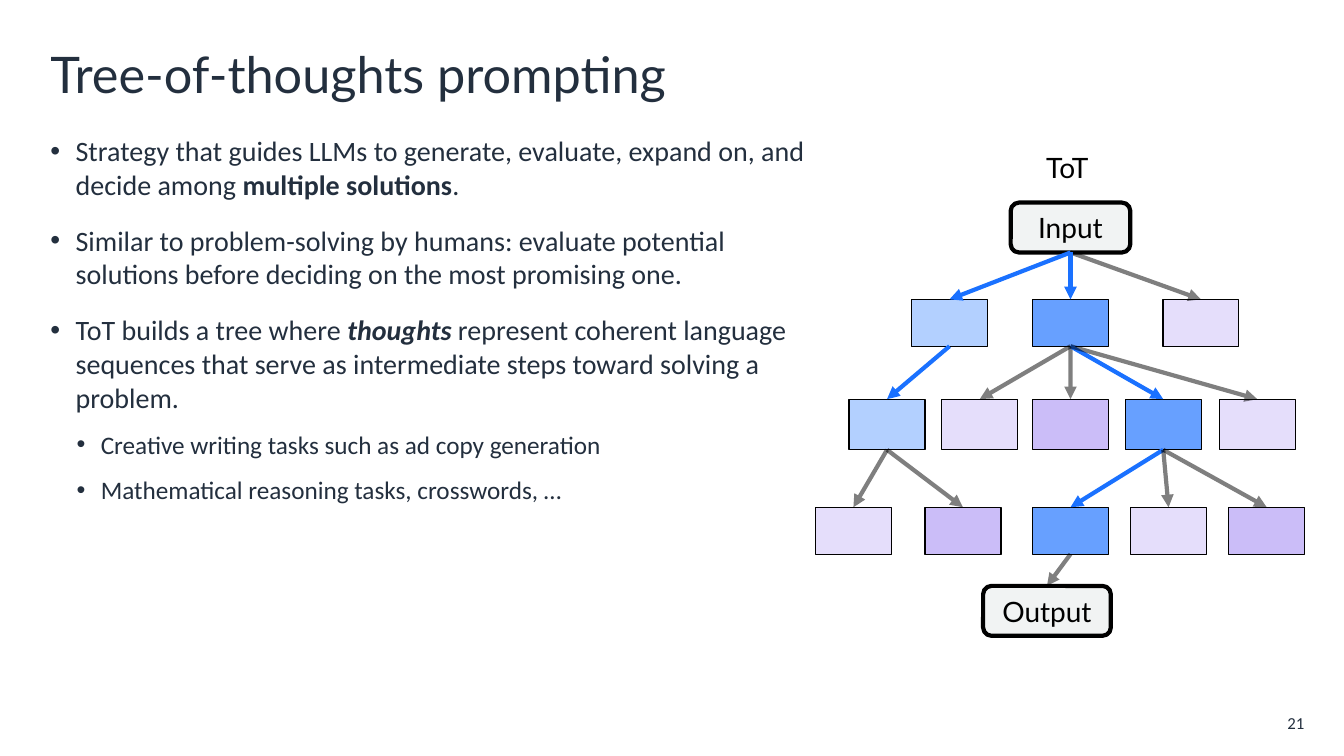
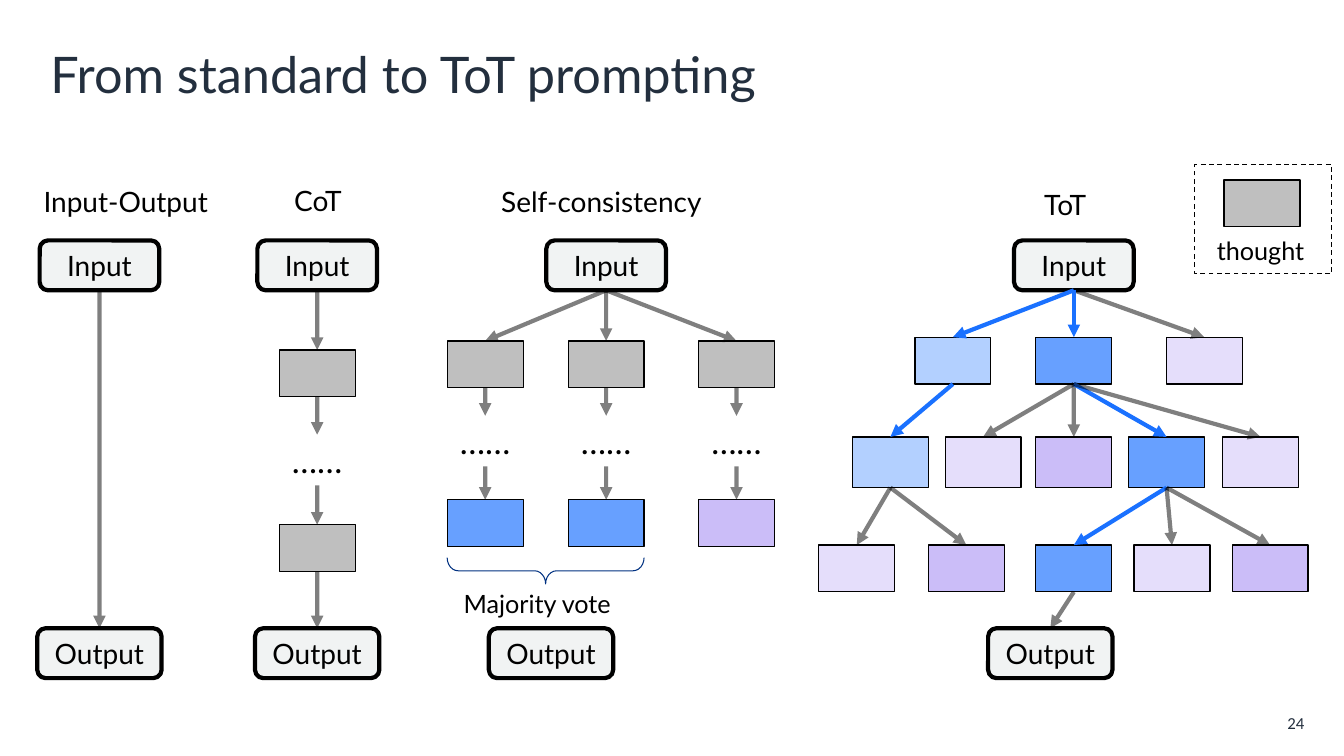
from lxml import etree
from pptx import Presentation
from pptx import util as u
from pptx.dml.color import RGBColor
from pptx.enum import dml, shapes, text
from pptx.oxml.ns import qn

# Shared style; one column or row is one percent of the slide
W, H = 13.33, 7.5
COLORS = {
    "ink": "232F3E", "black": "000000", "box": "F1F3F3", "path": "1A71FF",
    "blue": "67A0FF", "sky": "B3D0FF", "lilac": "CBBDF8", "mist": "E5DEFB",
    "gray": "BFBFBF", "brace": "003181",
}
HEAD, BODY = "Lato", "Calibri"
NODE_W, NODE_H, TALL_H = 5.65, 6.2, 6.7
INPUT_W, BOX_H = 8.9, 6.6
BRANCHES = (-9, 0, 9.7)

# Tree levels: row below the input, node height, (column offset, colour)
TREE_LEVELS = [
    (12.8, NODE_H, list(zip(BRANCHES, ("sky", "blue", "mist")))),
    (26, TALL_H, [(-13.65, "sky"), (-6.75, "mist"), (0, "lilac"),
                  (6.9, "blue"), (13.9, "mist")]),
    (40.3, NODE_H, [(-16.15, "mist"), (-8, "lilac"), (0, "blue"),
                    (7.3, "mist"), (14.6, "lilac")]),
]
# Tree edges: level of the parent, parent, child, on the chosen path
TREE_EDGES = [
    (0, 0, 2, False), (0, 0, 0, True), (0, 0, 1, True),
    (1, 1, 2, False), (1, 1, 3, True), (1, 0, 0, True),
    (1, 1, 1, False), (1, 1, 4, False),
    (2, 3, 2, True), (2, 0, 1, False), (2, 0, 0, False),
    (2, 3, 3, False), (2, 3, 4, False),
]


def rgb(name):
    return RGBColor.from_string(COLORS[name])


def place(x, y, w, h):
    return [u.Inches(v) for v in (x * W / 100, y * H / 100, w * W / 100, h * H / 100)]


def style_run(r, size, font=HEAD, color="black", bold=False, italic=False):
    f = r.font
    f.size, f.name, f.bold, f.italic = u.Pt(size), font, bold, italic
    f.color.rgb = rgb(color)


def write(sp, words, size, align=text.PP_ALIGN.LEFT, **style):
    tf = sp.text_frame
    tf.text = words
    p = tf.paragraphs[0]
    p.alignment = align
    style_run(p.runs[0], size, **style)
    return tf


# Elements
def add_label(s, words, x, y, w=18.15, h=5.8, size=20, **style):
    sp = s.shapes.add_textbox(*place(x, y, w, h))
    tf = write(sp, words, size, **style)
    tf.word_wrap = True
    return sp


def add_box(s, kind, area, fill=None, line="black", weight=0.85):
    sp = s.shapes.add_shape(kind, *place(*area))
    sp.shadow.inherit = False
    if fill:
        sp.fill.solid()
        sp.fill.fore_color.rgb = rgb(fill)
    else:
        sp.fill.background()
    sp.line.color.rgb = rgb(line)
    sp.line.width = u.Pt(weight)
    return sp


def add_node(s, cx, y, fill="gray", h=NODE_H):
    area = (cx - NODE_W / 2, y, NODE_W, h)
    return add_box(s, shapes.MSO_SHAPE.RECTANGLE, area, fill)


def add_terminal(s, words, cx, y, w):
    area = (cx - w / 2, y, w, BOX_H)
    sp = add_box(s, shapes.MSO_SHAPE.ROUNDED_RECTANGLE, area, "box", weight=3)
    tf = write(sp, words, 20, text.PP_ALIGN.CENTER)
    tf.vertical_anchor = text.MSO_ANCHOR.MIDDLE
    tf.word_wrap = False
    return sp


def add_dots(s, cx, y, w=8.2):
    sp = add_label(s, "……", cx - w / 2, y, w, TALL_H, 24, align=text.PP_ALIGN.CENTER)
    sp.text_frame.vertical_anchor = text.MSO_ANCHOR.MIDDLE
    return sp


def add_arrow(s, parent, child, chosen=False):
    cx = s.shapes.add_connector(shapes.MSO_CONNECTOR.STRAIGHT, 0, 0, 0, 0)
    cx.begin_connect(parent, 2)
    cx.end_connect(child, 0)
    cx.line.width = u.Pt(3)
    cx.line.color.rgb = rgb("path" if chosen else "black")
    spPr = cx.element.spPr
    ln = spPr.find(qn("a:ln"))
    if not chosen:
        clr = ln.find(qn("a:solidFill")).find(qn("a:srgbClr"))
        etree.SubElement(clr, qn("a:alpha"), val="50000")
    etree.SubElement(ln, qn("a:tailEnd"), type="triangle")
    etree.SubElement(spPr, qn("a:effectLst"))


def add_chain(s, *steps):
    for parent, child in zip(steps, steps[1:]):
        add_arrow(s, parent, child)


def add_tree(s, cx, top, output_top, output_w):
    levels = [[add_terminal(s, "Input", cx, top, INPUT_W)]]
    for row, h, nodes in TREE_LEVELS:
        levels.append([add_node(s, cx + dx, top + row, fill, h) for dx, fill in nodes])
    for level, parent, child, chosen in TREE_EDGES:
        add_arrow(s, levels[level][parent], levels[level + 1][child], chosen)
    output = add_terminal(s, "Output", cx - 1.75, output_top, output_w)
    add_arrow(s, levels[3][2], output)


def add_bullets(sp, items):
    sp.left, sp.top, sp.width, sp.height = place(3, 17, 59.1, 76.8)
    tf = sp.text_frame
    tf.auto_size = text.MSO_AUTO_SIZE.NONE
    for i, (level, parts) in enumerate(items):
        p = tf.add_paragraph() if i else tf.paragraphs[0]
        p.level = level
        p.space_before, p.space_after = u.Pt(5 if level else 10), u.Pt(6)
        for words, style in parts:
            r = p.add_run()
            r.text = words
            style_run(r, 18 if level else 20, BODY, "ink", **style)
        pPr = p._p.get_or_add_pPr()
        pPr.set("marL", str(u.Inches(0.25 * (level + 1))))
        pPr.set("indent", str(-u.Inches(0.24 if level else 0.25)))
        clr = etree.SubElement(pPr, qn("a:buClr"))
        etree.SubElement(clr, qn("a:srgbClr"), val=COLORS["ink"])
        etree.SubElement(pPr, qn("a:buFont"), typeface="Arial")
        etree.SubElement(pPr, qn("a:buChar"), char="•")


def add_slide(prs, layout, title, number):
    s = prs.slides.add_slide(prs.slide_layouts[layout])
    sp = s.shapes.title
    sp.left, sp.top, sp.width, sp.height = place(3, 4.4, 94, 10.7)
    tf = write(sp, title, 36, color="ink")
    tf.auto_size = text.MSO_AUTO_SIZE.NONE
    tf.vertical_anchor = text.MSO_ANCHOR.MIDDLE
    sp = add_label(s, number, 93.05, 94, 4, 3.3, 12, font=BODY, color="ink",
                   align=text.PP_ALIGN.RIGHT)
    tf = sp.text_frame
    tf.margin_left = tf.margin_right = tf.margin_top = tf.margin_bottom = 0
    tf.vertical_anchor = text.MSO_ANCHOR.MIDDLE
    return s


# Slides
def tree_slide(prs):
    s = add_slide(prs, 1, "Tree-of-thoughts prompting", "21")
    add_bullets(s.placeholders[1], [
        (0, [("Strategy that guides LLMs to generate, evaluate, expand on, "
              "and decide among ", {}),
             ("multiple solutions", {"bold": True}), (".", {})]),
        (0, [("Similar to problem-solving by humans: evaluate potential "
              "solutions before deciding on the most promising one.", {})]),
        (0, [("ToT builds a tree where ", {}),
             ("thoughts", {"bold": True, "italic": True}),
             (" represent coherent language sequences that serve as "
              "intermediate steps toward solving a problem.", {})]),
        (1, [("Creative writing tasks such as ad copy generation", {})]),
        (1, [("Mathematical reasoning tasks, crosswords, …", {})]),
    ])
    add_tree(s, 79.65, 26.8, 77.5, 9.5)
    add_label(s, "ToT", 77.1, 19.2)


def add_self_consistency(s, cx, source):
    for dx, answer in zip(BRANCHES, ("blue", "blue", "lilac")):
        x = cx + dx
        add_chain(s, source, add_node(s, x, 45.1), add_dots(s, x, 55),
                  add_node(s, x, 66.1, answer))
    # Brace under the two equal answers, turned to point down
    mid, length, depth = cx + BRANCHES[0] / 2, NODE_W - BRANCHES[0], 1.95
    height = length * W / H
    area = (mid - depth / 2, 75.5 - height / 2, depth, height)
    sp = add_box(s, shapes.MSO_SHAPE.LEFT_BRACE, area, line="brace", weight=0.75)
    sp.adjustments[0] = 0.42
    sp.rotation = 270
    add_label(s, "Majority vote", 33.75, 77.1, h=5.3, size=18)


def add_legend(s):
    add_node(s, 93.9, 23.8)
    sp = add_box(s, shapes.MSO_SHAPE.RECTANGLE, (88.9, 21.8, 10.2, 14.4))
    sp.line.dash_style = dml.MSO_LINE.DASH
    add_label(s, "thought", 89.8, 30.5, 10.25, 5.3, 18)


def comparison_slide(prs):
    s = add_slide(prs, 5, "From standard to ToT prompting", "24")
    top, bottom, output_w = 31.8, 83.1, 9.25
    plain, cot, voting = 7.4, 23.6, 45.1
    inputs = [add_terminal(s, "Input", x, top, INPUT_W) for x in (plain, cot, voting)]
    outputs = [add_terminal(s, "Output", x, bottom, output_w) for x in (plain, cot, 41)]
    add_chain(s, inputs[0], outputs[0])
    add_chain(s, inputs[1], add_node(s, cot, 46.3), add_dots(s, cot, 57.5),
              add_node(s, cot, 69.4), outputs[1])
    add_self_consistency(s, voting, inputs[2])
    add_tree(s, 79.9, top, bottom, output_w)
    add_legend(s)
    for words, x, y in [("Input-Output", 2.5, 23.7), ("CoT", 21.15, 23.6),
                        ("Self-consistency", 36.55, 23.7), ("ToT", 76.95, 24.1)]:
        add_label(s, words, x, y)


def main():
    prs = Presentation()
    prs.slide_width, prs.slide_height = u.Inches(W), u.Inches(H)
    tree_slide(prs)
    comparison_slide(prs)
    prs.save("out.pptx")


if __name__ == "__main__":
    main()
